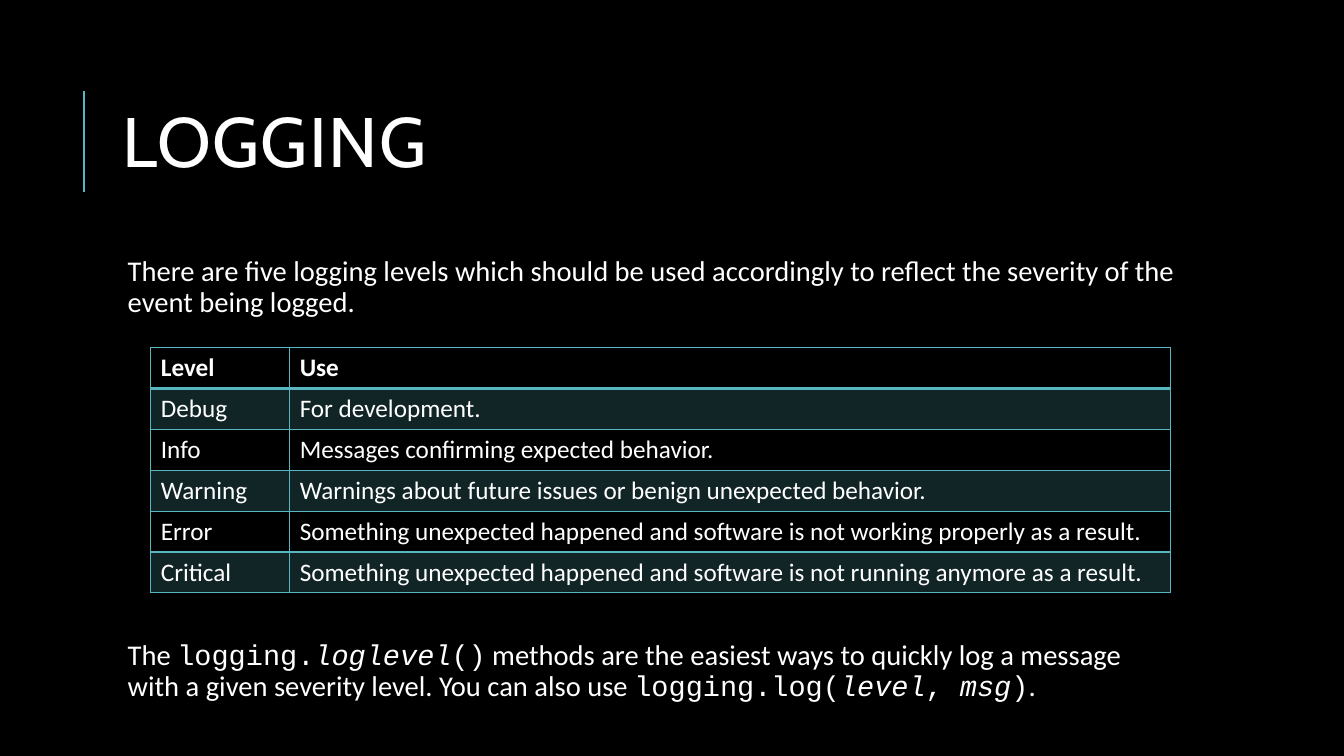
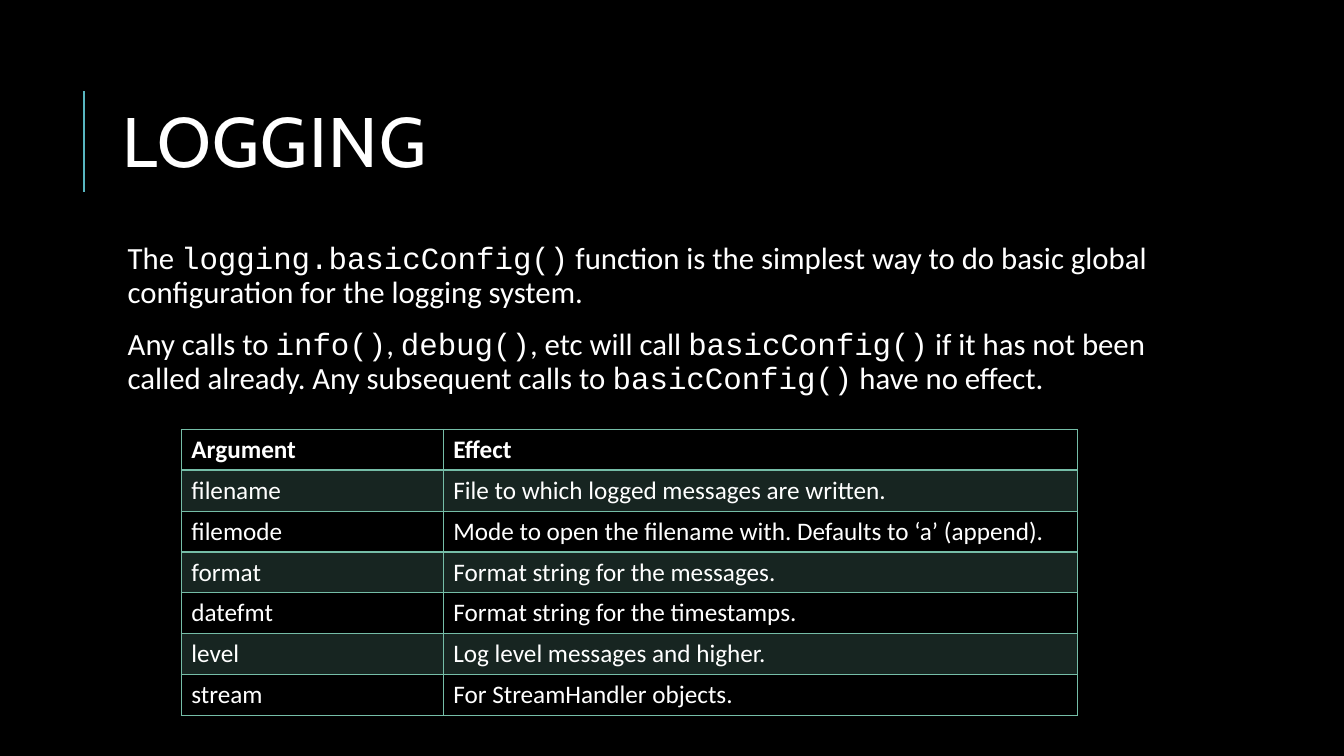
from lxml import etree
from pptx import Presentation
from pptx.dml.color import RGBColor
from pptx.enum.shapes import MSO_CONNECTOR
from pptx.enum.text import MSO_ANCHOR
from pptx.oxml.ns import qn
from pptx.util import Cm, Pt

STRAIGHT = MSO_CONNECTOR.STRAIGHT
MIDDLE = MSO_ANCHOR.MIDDLE

COLORS = {"back": "000000", "text": "FFFFFF", "teal": "58B6C0", "green": "75BDA7"}
TITLE_FONT, BODY_FONT, CODE_FONT = "Cabin", "Calibri", "Courier New"
BODY_LEFT, BODY_WIDTH = 2.84, 27
ROW_HEIGHT = 1.03
BAND_OPACITY = 20  # percent

# Content: a paragraph is a list of (text, style) runs
SLIDES = [
    {
        "title": "LOGGING",
        "size": 20.4,
        "texts": [
            {"top": 6.35, "height": 2, "paragraphs": [
                [("There are five logging levels which should be used accordingly "
                  "to reflect the severity of the event being logged.", "plain")],
            ]},
            {"top": 16.02, "height": 2, "paragraphs": [
                [("The ", "plain"), ("logging.", "code"), ("loglevel", "variable"),
                 ("()", "code"),
                 (" methods are the easiest ways to quickly log a message with a "
                  "given severity level. You can also use ", "plain"),
                 ("logging.log(", "code"), ("level", "variable"), (", ", "code"),
                 ("msg", "variable"), (")", "code"), (".", "plain")],
            ]},
        ],
        "table": {
            "left": 3.8, "top": 8.76, "widths": (3.5, 22.19), "color": "teal",
            "rows": [
                ("Level", "Use"),
                ("Debug", "For development."),
                ("Info", "Messages confirming expected behavior."),
                ("Warning", "Warnings about future issues or benign unexpected behavior."),
                ("Error", "Something unexpected happened and software is not "
                          "working properly as a result."),
                ("Critical", "Something unexpected happened and software is not "
                             "running anymore as a result."),
            ],
        },
    },
    {
        "title": "LOGGING",
        "size": 22,
        "texts": [
            {"top": 6, "height": 4.3, "paragraphs": [
                [("The ", "plain"), ("logging.basicConfig()", "code"),
                 (" function is the simplest way to do basic global configuration "
                  "for the logging system.", "plain")],
                [("Any calls to ", "plain"), ("info()", "code"), (", ", "plain"),
                 ("debug()", "code"), (", etc will call ", "plain"),
                 ("basicConfig()", "code"),
                 (" if it has not been called already. Any subsequent calls to ", "plain"),
                 ("basicConfig()", "code"), (" have no effect.", "plain")],
            ]},
        ],
        "table": {
            "left": 4.57, "top": 10.82, "widths": (6.6, 15.98), "color": "green",
            "rows": [
                ("Argument", "Effect"),
                ("filename", "File to which logged messages are written."),
                ("filemode", "Mode to open the filename with. Defaults to ‘a’ (append)."),
                ("format", "Format string for the messages."),
                ("datefmt", "Format string for the timestamps."),
                ("level", "Log level messages and higher."),
                ("stream", "For StreamHandler objects."),
            ],
        },
    },
]


def rgb(name):
    return RGBColor.from_string(COLORS[name])


def style_run(r, size, font=BODY_FONT, bold=False, italic=False):
    r.font.size = Pt(size)
    r.font.name = font
    r.font.bold = bold
    r.font.italic = italic
    r.font.color.rgb = rgb("text")


def add_title(s, text):
    # Vertical rule beside the title
    rule = s.shapes.add_connector(STRAIGHT, Cm(2.12), Cm(4.83), Cm(2.12), Cm(2.29))
    rule.line.color.rgb = rgb("teal")
    rule.line.width = Pt(1.5)
    etree.SubElement(rule._element.spPr, qn("a:effectLst"))

    sp = s.shapes.add_textbox(Cm(BODY_LEFT), Cm(1.63), Cm(BODY_WIDTH), Cm(4.17))
    tf = sp.text_frame
    tf.word_wrap = True
    tf.vertical_anchor = MIDDLE
    tf.text = text
    p = tf.paragraphs[0]
    p.line_spacing = 0.8
    r = p.runs[0]
    style_run(r, 50, TITLE_FONT)
    r.font._element.set("spc", "100")


def add_body(s, top, height, paragraphs, size):
    sp = s.shapes.add_textbox(Cm(BODY_LEFT), Cm(top), Cm(BODY_WIDTH), Cm(height))
    tf = sp.text_frame
    tf.word_wrap = True
    tf.margin_left = Cm(0.38)
    tf.margin_top = tf.margin_right = tf.margin_bottom = Cm(0.13)
    for i, runs in enumerate(paragraphs):
        p = tf.add_paragraph() if i else tf.paragraphs[0]
        p.line_spacing = 0.9
        p.space_before, p.space_after = Pt(12), Pt(2)
        for text, style in runs:
            r = p.add_run()
            r.text = text
            font = BODY_FONT if style == "plain" else CODE_FONT
            style_run(r, size, font, italic=style == "variable")


def set_border(cell, side, color, width):
    tcPr = cell._tc.get_or_add_tcPr()
    ln = etree.SubElement(tcPr, qn("a:ln" + side), w=str(Pt(width)))
    fill = etree.SubElement(ln, qn("a:solidFill"))
    etree.SubElement(fill, qn("a:srgbClr"), val=COLORS[color])


def fill_band(cell, color):
    cell.fill.solid()
    cell.fill.fore_color.rgb = rgb(color)
    clr = cell._tc.tcPr.find(qn("a:solidFill")).find(qn("a:srgbClr"))
    etree.SubElement(clr, qn("a:alpha"), val=str(BAND_OPACITY * 1000))


def add_grid(s, left, top, widths, color, rows):
    frame = s.shapes.add_table(len(rows), len(widths), Cm(left), Cm(top),
                               Cm(sum(widths)), Cm(ROW_HEIGHT * len(rows)))
    table = frame.table
    table.horz_banding = False
    for column, width in zip(table.columns, widths):
        column.width = Cm(width)
    for i, row in enumerate(rows):
        table.rows[i].height = Cm(ROW_HEIGHT)
        # The line under the header is thicker
        borders = {"L": 1, "R": 1, "T": 2 if i == 1 else 1, "B": 2 if i == 0 else 1}
        for j, text in enumerate(row):
            cell = table.cell(i, j)
            cell.text = text
            style_run(cell.text_frame.paragraphs[0].runs[0], 18, bold=i == 0)
            for side, width in borders.items():
                set_border(cell, side, color, width)
            if i % 2:
                fill_band(cell, color)
            else:
                cell.fill.background()


def main():
    prs = Presentation()
    prs.slide_width, prs.slide_height = Cm(33.87), Cm(19.05)
    back = prs.slide_master.background.fill
    back.solid()
    back.fore_color.rgb = rgb("back")

    for content in SLIDES:
        s = prs.slides.add_slide(prs.slide_layouts[6])
        add_title(s, content["title"])
        for text in content["texts"]:
            add_body(s, size=content["size"], **text)
        add_grid(s, **content["table"])
    prs.save("out.pptx")


if __name__ == "__main__":
    main()
